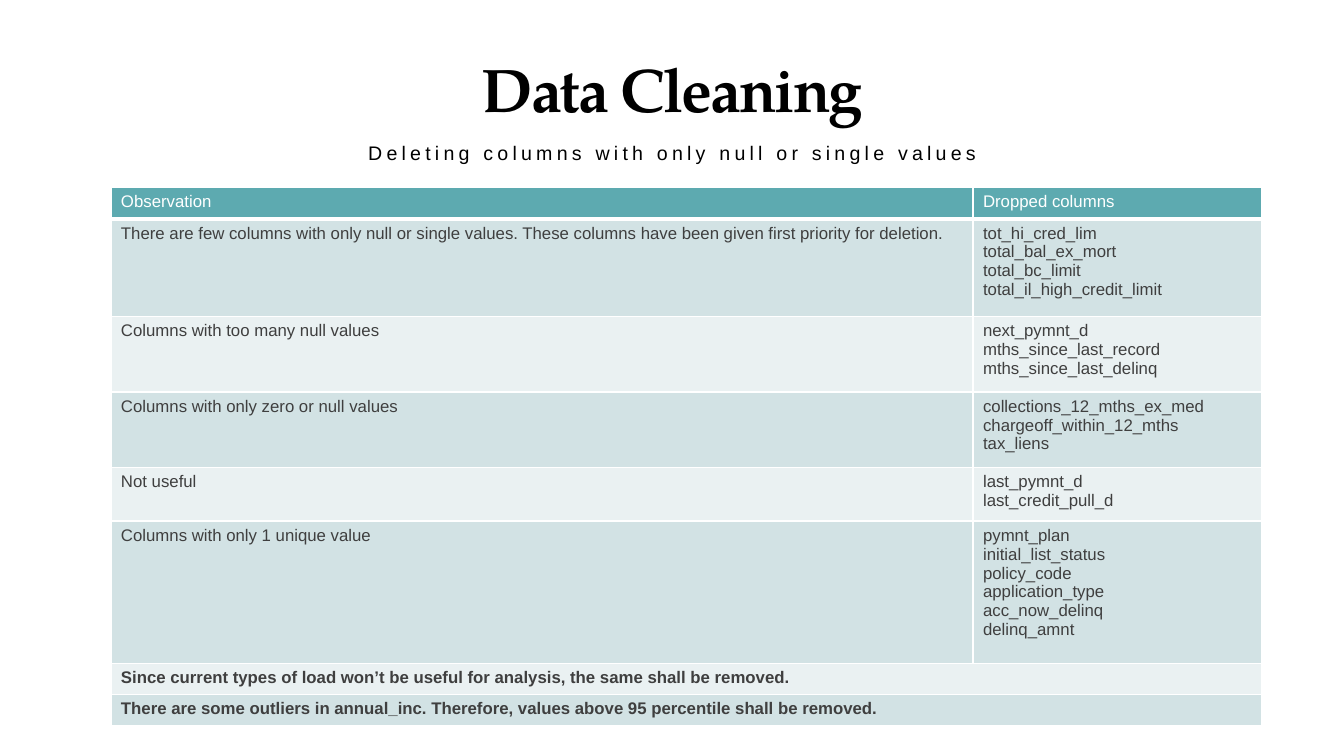
import pptx
import pptx.dml.color
import pptx.enum.text
import pptx.oxml
import pptx.oxml.ns
import pptx.util

Inches = pptx.util.Inches
Pt = pptx.util.Pt
ANCHOR = pptx.enum.text.MSO_ANCHOR

HEADER = ["Observation", "Dropped columns"]
OBSERVATIONS = [
    ("There are few columns with only null or single values. "
     "These columns have been given first priority for deletion.",
     ["tot_hi_cred_lim", "total_bal_ex_mort", "total_bc_limit", "total_il_high_credit_limit"]),
    ("Columns with too many null values",
     ["next_pymnt_d", "mths_since_last_record", "mths_since_last_delinq"]),
    ("Columns with only zero or null values",
     ["collections_12_mths_ex_med", "chargeoff_within_12_mths", "tax_liens"]),
    ("Not useful", ["last_pymnt_d", "last_credit_pull_d"]),
    ("Columns with only 1 unique value",
     ["pymnt_plan", "initial_list_status", "policy_code", "application_type",
      "acc_now_delinq", "delinq_amnt"]),
]
CONCLUSIONS = [
    "Since current types of load won’t be useful for analysis, the same shall be removed.",
    "There are some outliers in annual_inc. Therefore, values above 95 percentile shall be removed.",
]
COL_WIDTHS = [8.55, 2.86]
ROW_HEIGHTS = [0.31, 0.97, 0.75, 0.75, 0.53, 1.41, 0.31, 0.31]


def rgb(color):
    return pptx.dml.color.RGBColor.from_string(color)


class SlideBuilder:
    HEADING_FONT = "TeX Gyre Pagella"
    BODY_FONT = "Arial"
    BLACK, WHITE, GREY = "000000", "FFFFFF", "3F3F3F"
    TEAL = "5DAAB0"
    BANDS = ["EAF1F2", "D2E2E4"]

    def __init__(self, slide):
        self.slide = slide

    def style(self, p, size, color, font=BODY_FONT, bold=False):
        p.font.size = Pt(size)
        p.font.name = font
        p.font.bold = bold
        p.font.color.rgb = rgb(color)

    def heading(self, text, top, height, anchor, size, font, spacing, bold=False, before=0):
        """Add a centred line of text; spacing is the letter spacing in points."""
        sp = self.slide.shapes.add_textbox(Inches(0.71), Inches(top), Inches(11.92), Inches(height))
        tf = sp.text_frame
        tf.word_wrap = True
        tf.vertical_anchor = anchor
        p = tf.paragraphs[0]
        p.alignment = pptx.enum.text.PP_ALIGN.CENTER
        p.line_spacing = 0.9
        p.space_before = Pt(before)
        self.style(p, size, self.BLACK, font, bold)
        r = p.add_run()
        r.text = text
        r._r.get_or_add_rPr().set("spc", str(int(spacing * 100)))

    def cell_borders(self, cell, bottom):
        tc_pr = cell._tc.get_or_add_tcPr()
        for side, width in (("L", 1), ("R", 1), ("T", 1), ("B", bottom)):
            tc_pr.append(pptx.oxml.parse_xml(
                f'<a:ln{side} {pptx.oxml.ns.nsdecls("a")} w="{Pt(width)}">'
                f'<a:solidFill><a:srgbClr val="{self.WHITE}"/></a:solidFill></a:ln{side}>'))

    def cell(self, cell, text, fill, color, bold=False, bottom=1):
        self.cell_borders(cell, bottom)
        cell.fill.solid()
        cell.fill.fore_color.rgb = rgb(fill)
        cell.text_frame.text = text
        for p in cell.text_frame.paragraphs:
            self.style(p, 12, color, bold=bold)

    def table(self, left, top):
        table = self.slide.shapes.add_table(
            len(ROW_HEIGHTS), len(COL_WIDTHS), Inches(left), Inches(top),
            Inches(sum(COL_WIDTHS)), Inches(sum(ROW_HEIGHTS))).table
        for column, width in zip(table.columns, COL_WIDTHS):
            column.width = Inches(width)
        for row, height in zip(table.rows, ROW_HEIGHTS):
            row.height = Inches(height)

        for col, text in enumerate(HEADER):
            self.cell(table.cell(0, col), text, self.TEAL, self.WHITE, bottom=3)
        rows = [(text, "\n".join(names)) for text, names in OBSERVATIONS]
        rows += [(text, "") for text in CONCLUSIONS]
        for i, texts in enumerate(rows, 1):
            merged = i > len(OBSERVATIONS)
            for col, text in enumerate(texts):
                self.cell(table.cell(i, col), text, self.BANDS[i % 2], self.GREY, bold=merged)
            if merged:
                table.cell(i, 0).merge(table.cell(i, 1))


def main():
    prs = pptx.Presentation()
    prs.slide_width = Inches(13.33)
    prs.slide_height = Inches(7.5)
    s = SlideBuilder(prs.slides.add_slide(prs.slide_layouts[6]))
    s.heading("Data Cleaning", 0.32, 0.98, ANCHOR.BOTTOM, 44, s.HEADING_FONT, -1.5, bold=True)
    s.heading("Deleting columns with only null or single values",
              1.2, 0.66, ANCHOR.MIDDLE, 14, s.BODY_FONT, 3, before=10)
    s.table(1.1, 1.86)
    prs.save("out.pptx")


if __name__ == "__main__":
    main()
